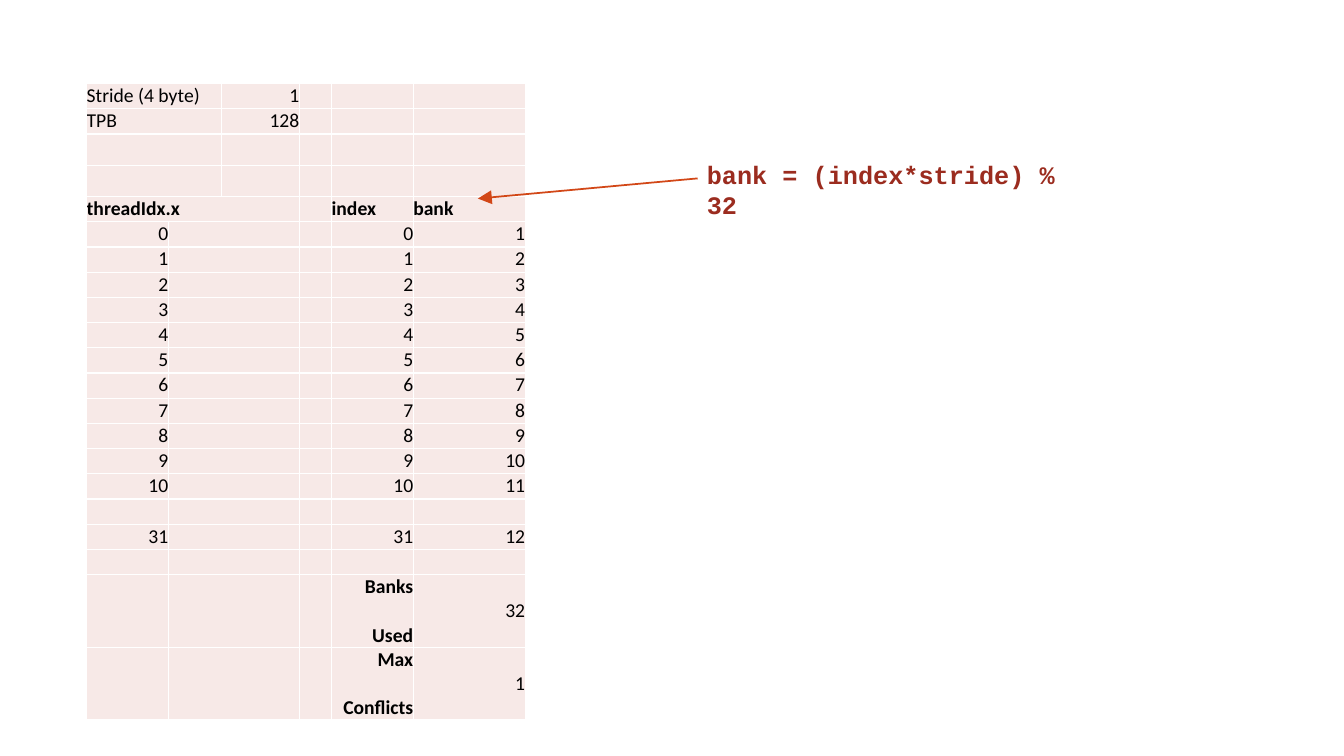
from dataclasses import dataclass

from lxml import etree
from pptx import Presentation
from pptx import util as u
from pptx.dml.color import RGBColor
from pptx.enum import shapes, text
from pptx.oxml import ns


@dataclass(frozen=True)
class Theme:
    cell: RGBColor = RGBColor(0xF7, 0xE9, 0xE7)
    grid: str = "FFFFFF"
    ink: RGBColor = RGBColor(0, 0, 0)
    formula: RGBColor = RGBColor(0x9B, 0x2C, 0x1F)
    arrow: RGBColor = RGBColor(0xD2, 0x47, 0x17)
    body_font: str = "Calibri"
    code_font: str = "Courier New"
    body_size: u.Length = u.Pt(14)
    code_size: u.Length = u.Pt(18)
    body_line: u.Length = u.Pt(16.6)


THEME = Theme()

COLUMN_WIDTHS = [0.81, 0.53, 0.77, 0.32, 0.81, 1.11]
ROW_HEIGHTS = [0.25] * 2 + [0.31] * 2 + [0.25] * 15 + [0.71] * 2
HEADER_ROW = 4
SUMMARY_ROW = 19

THREADS = [(str(i), "", "", "", str(i), str(i + 1)) for i in range(11)]
ROWS = [
    ("Stride (4 byte)", "", "1", "", "", ""),
    ("TPB", "", "128", "", "", ""),
    ("",) * 6,
    ("",) * 6,
    ("threadIdx.x", "", "", "", "index", "bank"),
    *THREADS,
    ("",) * 6,
    ("31", "", "", "", "31", "12"),
    ("",) * 6,
    ("", "", "", "", "Banks\nUsed", "32"),
    ("", "", "", "", "Max\nConflicts", "1"),
]


def add_span(para, words, font, size, color, bold=False):
    span = para.add_run()
    span.text = words
    span.font.name = font
    span.font.size = size
    span.font.bold = bold
    span.font.color.rgb = color


def style_cell(cell):
    cell.margin_left = cell.margin_right = cell.margin_bottom = 0
    cell.margin_top = u.Inches(0.01)
    properties = cell._tc.get_or_add_tcPr()
    for side in ("lnL", "lnR", "lnT", "lnB"):
        line = etree.SubElement(properties, ns.qn(f"a:{side}"), w=str(u.Pt(1)))
        fill = etree.SubElement(line, ns.qn("a:solidFill"))
        etree.SubElement(fill, ns.qn("a:srgbClr"), val=THEME.grid)
    cell.fill.solid()
    cell.fill.fore_color.rgb = THEME.cell


def fill_cell(cell, words, row):
    frame = cell.text_frame
    if not words:
        etree.SubElement(frame.paragraphs[0]._p, ns.qn("a:endParaRPr"),
                         sz=str(int(THEME.body_size.pt * 100)))
        return
    left_aligned = row == HEADER_ROW or words in ("Stride (4 byte)", "TPB")
    bold = row == HEADER_ROW or (row >= SUMMARY_ROW and not words.isdigit())
    if row >= SUMMARY_ROW:
        cell.vertical_anchor = text.MSO_ANCHOR.MIDDLE
    for i, part in enumerate(words.split("\n")):
        para = frame.add_paragraph() if i else frame.paragraphs[0]
        para.alignment = text.PP_ALIGN.LEFT if left_aligned else text.PP_ALIGN.RIGHT
        para.line_spacing = THEME.body_line
        para.space_before = u.Pt(18) if i else u.Pt(0.6)
        add_span(para, part, THEME.body_font, THEME.body_size, THEME.ink, bold)


def merge_row(table, row):
    if row < HEADER_ROW:
        first, last = 0, 1
    elif row == HEADER_ROW:
        first, last = 0, 2
    else:
        first, last = 1, 2
    table.cell(row, first).merge(table.cell(row, last))


def add_bank_table(page, left, top):
    box = page.shapes.add_table(len(ROWS), len(COLUMN_WIDTHS),
                                u.Inches(left), u.Inches(top),
                                u.Inches(sum(COLUMN_WIDTHS)), u.Inches(sum(ROW_HEIGHTS)))
    table = box.table
    table.first_row = table.horz_banding = False
    for column, width in zip(table.columns, COLUMN_WIDTHS):
        column.width = u.Inches(width)
    for r, (values, height) in enumerate(zip(ROWS, ROW_HEIGHTS)):
        table.rows[r].height = u.Inches(height)
        for c, words in enumerate(values):
            cell = table.cell(r, c)
            style_cell(cell)
            fill_cell(cell, words, r)
        merge_row(table, r)


def add_formula(page, left, top, width, height):
    box = page.shapes.add_textbox(u.Inches(left), u.Inches(top),
                                  u.Inches(width), u.Inches(height))
    frame = box.text_frame
    frame.word_wrap = True
    frame.margin_left = frame.margin_top = u.Inches(0.01)
    frame.margin_right = frame.margin_bottom = 0
    para = frame.paragraphs[0]
    para.space_before = u.Pt(1)
    add_span(para, "bank = (index*stride) % 32", THEME.code_font,
             THEME.code_size, THEME.formula, True)


def add_arrow(page, left, top, width, height):
    arrow = page.shapes.add_connector(shapes.MSO_CONNECTOR.STRAIGHT,
                                      u.Inches(left + width), u.Inches(top),
                                      u.Inches(left), u.Inches(top + height))
    arrow.line.color.rgb = THEME.arrow
    arrow.line.width = u.Pt(1.25)
    etree.SubElement(arrow.line._get_or_add_ln(), ns.qn("a:tailEnd"),
                     type="triangle", w="lg", len="lg")
    etree.SubElement(arrow._element.spPr, ns.qn("a:effectLst"))


def main():
    deck = Presentation()
    deck.slide_width, deck.slide_height = u.Inches(13.33), u.Inches(7.5)
    page = deck.slides.add_slide(deck.slide_layouts[6])
    add_bank_table(page, 0.86, 0.83)
    add_formula(page, 7, 1.57, 3.91, 0.33)
    add_arrow(page, 4.74, 1.77, 2.18, 0.2)
    deck.save("out.pptx")


if __name__ == "__main__":
    main()
